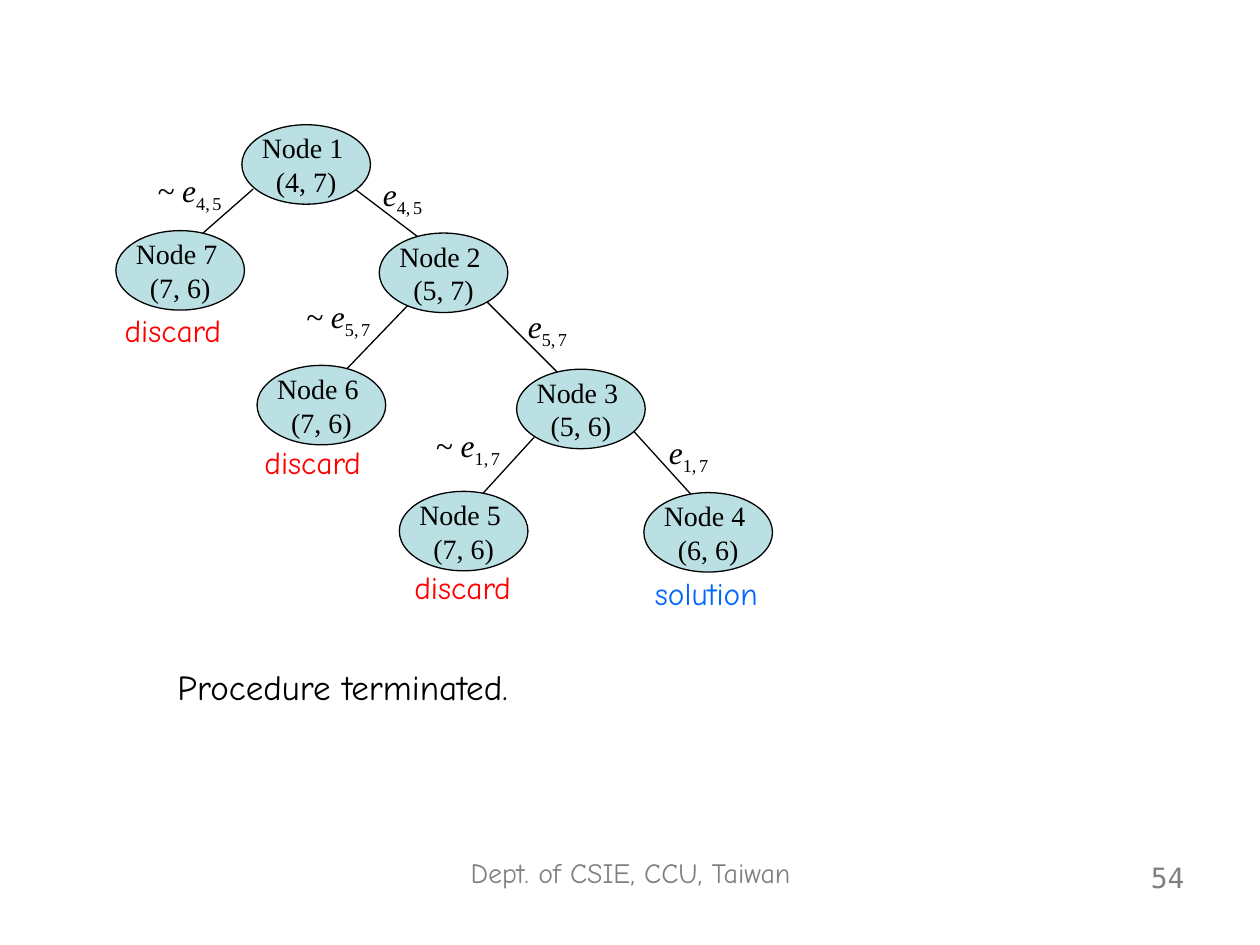
from lxml import etree
from pptx import Presentation
from pptx.dml.color import RGBColor
from pptx.enum.shapes import MSO_CONNECTOR, MSO_SHAPE
from pptx.enum.text import MSO_ANCHOR, PP_ALIGN
from pptx.oxml.ns import qn
from pptx.util import Pt

ELLIPSE = MSO_SHAPE.OVAL
STRAIGHT = MSO_CONNECTOR.STRAIGHT
MIDDLE = MSO_ANCHOR.MIDDLE
LEFT, CENTER, RIGHT = PP_ALIGN.LEFT, PP_ALIGN.CENTER, PP_ALIGN.RIGHT
SERIF, HAND, MONO = "Times New Roman", "Comic Neue", "DejaVu Sans Mono"
BLACK, RED, BLUE, GRAY, TEAL = "000000", "FF0000", "0066FF", "808080", "BBE0E3"


def rgb(code):
    return RGBColor.from_string(code)


def add_text(box, text, size, font, color, align=LEFT):
    left, top, width, height = map(Pt, box)
    frame = slide.shapes.add_textbox(left, top, width, height).text_frame
    frame.word_wrap = True
    line = frame.paragraphs[0]
    line.text = text
    line.alignment = align
    line.font.size = Pt(size)
    line.font.name = font
    line.font.color.rgb = rgb(color)
    return line


prs = Presentation()
prs.slide_width, prs.slide_height = Pt(720), Pt(540)
slide = prs.slides.add_slide(prs.slide_layouts[6])

# Tree edges, parent to child
edges = [
    (200.9, 106.6, 239.8, 136.1),
    (144.7, 108, 115.2, 133.9),
    (275, 169.2, 324.7, 218.9),
    (234.7, 172.8, 197.3, 211.7),
    (360, 244.1, 395.3, 283),
    (305.3, 249.8, 275, 283),
]
for ends in edges:
    edge = slide.shapes.add_connector(STRAIGHT, *map(Pt, ends))
    edge.line.color.rgb = rgb(BLACK)
    edge.line.width = Pt(0.75)
    etree.SubElement(edge._element.spPr, qn("a:effectLst"))

# Tree nodes: left, top, bounds
nodes = [
    (138.2, 71.3, "(4, 7)"),
    (216.7, 133.2, "(5, 7)"),
    (295.2, 211, "(5, 6)"),
    (367.9, 281.5, "(6, 6)"),
    (228.2, 280.8, "(7, 6)"),
    (146.9, 208.8, "(7, 6)"),
    (66.2, 131.8, "(7, 6)"),
]
for number, (left, top, bounds) in enumerate(nodes, 1):
    node = slide.shapes.add_shape(ELLIPSE, Pt(left), Pt(top), Pt(73.5), Pt(45.4))
    node.shadow.inherit = False
    node.fill.solid()
    node.fill.fore_color.rgb = rgb(TEAL)
    node.line.color.rgb = rgb(BLACK)
    node.line.width = Pt(0.75)
    frame = node.text_frame
    frame.word_wrap = False
    frame.vertical_anchor = MIDDLE
    frame.text = f"Node {number} \n{bounds}"
    for line in frame.paragraphs:
        line.alignment = CENTER
        line.font.size = Pt(16)
        line.font.name = SERIF
        line.font.color.rgb = rgb(BLACK)

# Edge labels: left, top, width, symbol, subscript pair
edge_labels = [
    (211.7, 96.5, 42.5, "e", "45"),
    (82.8, 94.3, 64, "~ e", "45"),
    (294.5, 172.1, 42.5, "e", "57"),
    (167.8, 166.3, 57, "~ e", "57"),
    (375.1, 244.1, 42.5, "e", "17"),
    (241.9, 239.8, 57, "~ e", "17"),
]
for left, top, width, symbol, (first, second) in edge_labels:
    label = add_text((left, top, width, 31.7), symbol, 18, SERIF, BLACK)
    label.runs[0].font.italic = True
    for part, size in ((first + ",", 18), (" ", 10), (second, 18)):
        subscript = label.add_run()
        subscript.text = part
        subscript.font.size = Pt(size)
        subscript.font._element.set("baseline", "-25000")

# Outcomes under the leaves
outcomes = [
    (367.2, 324.7, "solution", BLUE),
    (229.7, 321.1, "discard", RED),
    (144, 249.8, "discard", RED),
    (64.1, 174.2, "discard", RED),
]
for left, top, outcome, color in outcomes:
    add_text((left, top, 81, 28.8), outcome, 18, HAND, color)

# Conclusion, footer and page number
add_text((94.3, 376.6, 244.8, 31.7), "Procedure terminated.", 20, HAND, BLACK)
add_text((229.7, 485.3, 261.4, 37.4), "Dept. of CSIE, CCU, Taiwan", 16, HAND, GRAY, CENTER)
add_text((516.2, 488.2, 167.8, 37.4), "54", 16, MONO, GRAY, RIGHT)

prs.save("out.pptx")
